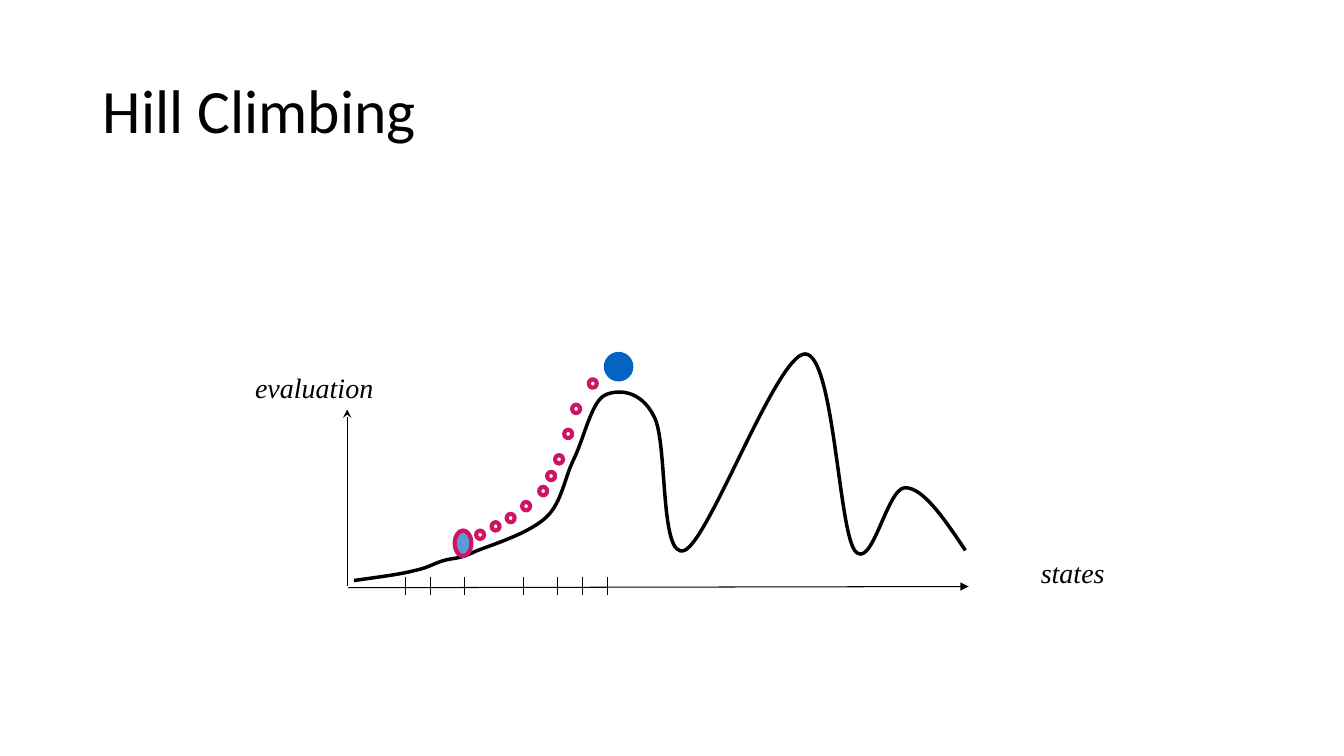
from pptx import Presentation
from pptx.dml.color import RGBColor
from pptx.enum.shapes import MSO_CONNECTOR, MSO_SHAPE
from pptx.enum.text import MSO_ANCHOR, MSO_AUTO_SIZE, PP_ALIGN
from pptx.oxml.ns import qn
from pptx.util import Cm, Pt
from lxml import etree

STRAIGHT = MSO_CONNECTOR.STRAIGHT
OVAL = MSO_SHAPE.OVAL
MIDDLE = MSO_ANCHOR.MIDDLE
GROW = MSO_AUTO_SIZE.SHAPE_TO_FIT_TEXT
LEFT, CENTER = PP_ALIGN.LEFT, PP_ALIGN.CENTER

COLORS = {"ink": "000000", "trail": "D01465", "start": "5B9BD5", "ball": "0563C1"}

HILLS = [
    (8.92, 14.63),
    (9.47, 14.55), (10.06, 14.48), (10.44, 14.38),
    (10.82, 14.3), (10.92, 14.2), (11.2, 14.12),
    (11.46, 14.05), (11.56, 14.1), (11.99, 13.89),
    (12.42, 13.72), (13.34, 13.44), (13.77, 13.03),
    (14.17, 12.65), (14.22, 12.04), (14.48, 11.53),
    (14.73, 11), (14.91, 10.13), (15.24, 9.96),
    (15.57, 9.8), (16.15, 9.83), (16.48, 10.49),
    (16.84, 11.13), (16.61, 14.12), (17.25, 13.87),
    (17.88, 13.61), (19.58, 8.92), (20.29, 8.92),
    (21.01, 8.92), (21.13, 13.31), (21.54, 13.87),
    (21.97, 14.43), (22.35, 12.29), (22.81, 12.29),
    (23.27, 12.29), (23.8, 13.08), (24.33, 13.87),
]
TICKS = [10.22, 10.86, 11.71, 13.19, 14.04, 14.67, 15.31]
TRAIL = [
    (12, 13.37), (12.39, 13.16), (12.77, 12.95), (13.16, 12.65), (13.59, 12.27),
    (13.79, 11.89), (13.99, 11.47), (14.22, 10.83), (14.42, 10.2), (14.84, 9.56),
]


class HillSlide:
    """Draws the elements of one slide in a shared style, with lengths in centimetres."""

    def __init__(self, presentation):
        self.slide = presentation.slides.add_slide(presentation.slide_layouts[5])
        self.shapes = self.slide.shapes

    def style_line(self, line, color, width):
        line.color.rgb = RGBColor.from_string(COLORS[color])
        line.width = Pt(width)

    def style_font(self, font, name, size, italic=False):
        font.name, font.size, font.italic = name, Pt(size), italic
        font.color.rgb = RGBColor.from_string(COLORS["ink"])

    def title(self, text, left, top, width, height):
        shape = self.shapes.title
        shape.left, shape.top = Cm(left), Cm(top)
        shape.width, shape.height = Cm(width), Cm(height)
        frame = shape.text_frame
        frame.text, frame.vertical_anchor = text, MIDDLE
        paragraph = frame.paragraphs[0]
        paragraph.alignment, paragraph.line_spacing = LEFT, 0.9
        self.style_font(paragraph.font, "Calibri", 44)

    def label(self, text, left, top, width, height):
        shape = self.shapes.add_textbox(Cm(left), Cm(top), Cm(width), Cm(height))
        frame = shape.text_frame
        frame.margin_top = frame.margin_bottom = 0
        frame.word_wrap, frame.auto_size = False, GROW
        frame.text, frame.vertical_anchor = text, MIDDLE
        paragraph = frame.paragraphs[0]
        paragraph.alignment = CENTER
        self.style_font(paragraph.font, "Times New Roman", 20, italic=True)

    def line(self, start, end, arrow=None):
        ends = [Cm(value) for value in (*start, *end)]
        connector = self.shapes.add_connector(STRAIGHT, *ends)
        self.style_line(connector.line, "ink", 0.75)
        properties = connector.element.spPr
        if arrow:
            outline = properties.find(qn("a:ln"))
            etree.SubElement(outline, qn("a:tailEnd"), type=arrow)
        etree.SubElement(properties, qn("a:effectLst"))

    def oval(self, left, top, width, height, line, fill=None):
        shape = self.shapes.add_shape(OVAL, Cm(left), Cm(top), Cm(width), Cm(height))
        shape.shadow.inherit = False
        self.style_line(shape.line, line, 3)
        if fill:
            shape.fill.solid()
            shape.fill.fore_color.rgb = RGBColor.from_string(COLORS[fill])
        else:
            shape.fill.background()

    def curve(self, points):
        corners = [(Cm(x), Cm(y)) for x, y in points]
        builder = self.shapes.build_freeform(*corners[0])
        builder.add_line_segments(corners[1:], close=False)
        shape = builder.convert_to_shape()
        shape.shadow.inherit = False
        shape.fill.background()
        self.style_line(shape.line, "ink", 2.5)
        outline = next(shape.element.iter(qn("a:path")))
        segments = outline.findall(qn("a:lnTo"))
        for index in range(0, len(segments), 3):
            bezier = etree.SubElement(outline, qn("a:cubicBezTo"))
            for segment in segments[index:index + 3]:
                bezier.append(segment[0])
                outline.remove(segment)


def main():
    presentation = Presentation()
    presentation.slide_width, presentation.slide_height = Cm(33.87), Cm(19.05)
    slide = HillSlide(presentation)
    slide.title("Hill Climbing", 2.34, 1.02, 29.21, 3.68)
    slide.curve(HILLS)
    slide.line((8.75, 14.76), (8.75, 10.32), arrow="stealth")
    slide.line((8.78, 14.81), (24.41, 14.78), arrow="triangle")
    slide.label("states", 25.96, 14, 2.15, 0.84)
    slide.label("evaluation", 6.14, 9.35, 3.56, 0.84)
    for x in TICKS:
        slide.line((x, 14.55), (x, 14.99))
    slide.oval(11.46, 13.37, 0.42, 0.64, "trail", "start")
    for left, top in TRAIL:
        slide.oval(left, top, 0.2, 0.21, "trail")
    slide.oval(15.27, 8.92, 0.64, 0.64, "ball", "ball")
    presentation.save("out.pptx")


if __name__ == "__main__":
    main()
